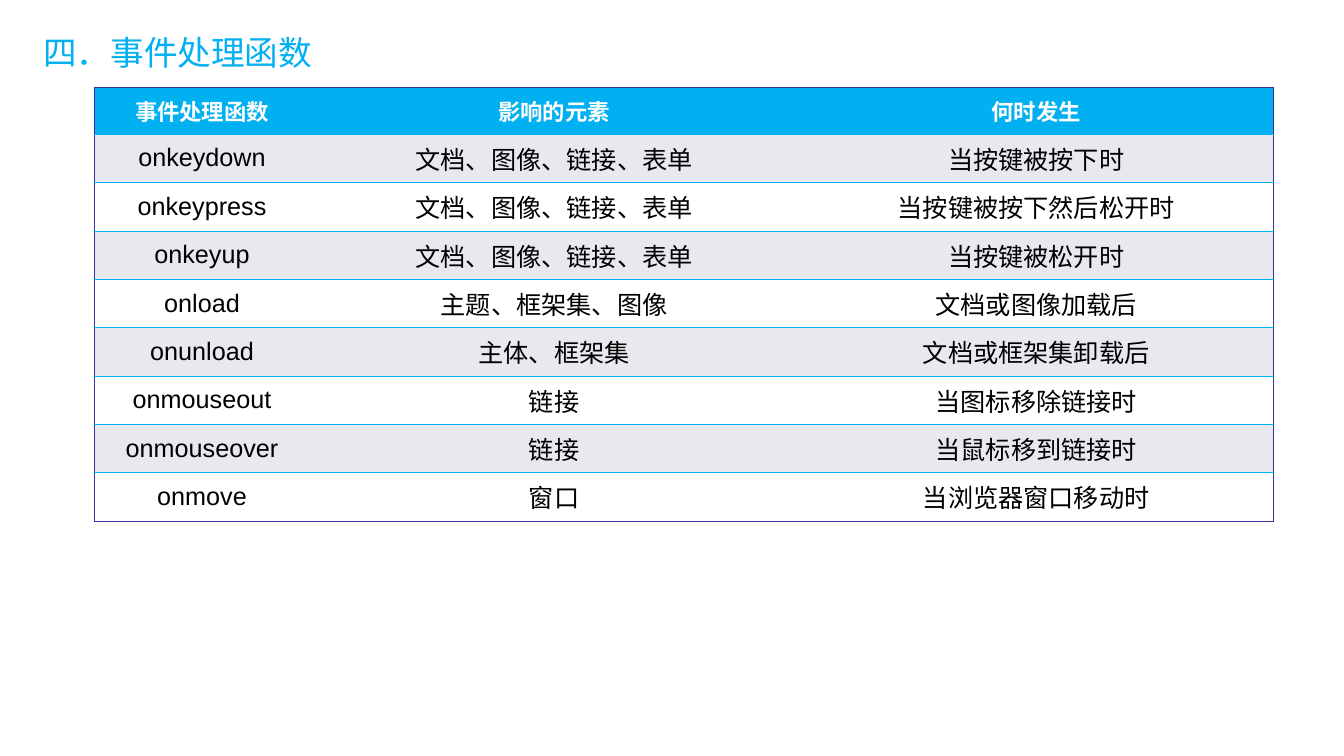
import pptx
import pptx.dml.color
import pptx.enum.text
import pptx.oxml
import pptx.oxml.ns
import pptx.util
from pptx.util import Inches

FONT = "Arial"
BLUE, NAVY, WHITE, BLACK, GREY = "00B0F0", "333399", "FFFFFF", "000000", "E8E8EF"
BORDER_WIDTH = 0.45
COLUMN_WIDTHS = (2.13, 4.86, 4.71)
HEADER_HEIGHT, ROW_HEIGHT = 0.46, 0.48
EVENTS = (
    ("事件处理函数", "影响的元素", "何时发生"),
    ("onkeydown", "文档、图像、链接、表单", "当按键被按下时"),
    ("onkeypress", "文档、图像、链接、表单", "当按键被按下然后松开时"),
    ("onkeyup", "文档、图像、链接、表单", "当按键被松开时"),
    ("onload", "主题、框架集、图像", "文档或图像加载后"),
    ("onunload", "主体、框架集", "文档或框架集卸载后"),
    ("onmouseout", "链接", "当图标移除链接时"),
    ("onmouseover", "链接", "当鼠标移到链接时"),
    ("onmove", "窗口", "当浏览器窗口移动时"),
)


def color(value):
    return pptx.dml.color.RGBColor.from_string(value)


def write(frame, text, size, ink, align, bold=False):
    frame.text = text
    para = frame.paragraphs[0]
    para.alignment = align
    font = para.runs[0].font
    font.name, font.size, font.bold = FONT, pptx.util.Pt(size), bold
    font.color.rgb = color(ink)


def add_title(page, text):
    title = page.shapes.title
    title.left, title.top = Inches(0.33), Inches(0.17)
    title.width, title.height = Inches(12.78), Inches(0.7)
    write(title.text_frame, text, 24, BLUE, pptx.enum.text.PP_ALIGN.LEFT)
    title.text_frame.vertical_anchor = pptx.enum.text.MSO_ANCHOR.MIDDLE


def set_border(cell, side, ink):
    """Draw one side (L, R, T or B) of a cell, or clear it when ink is None."""
    fill = f'<a:solidFill><a:srgbClr val="{ink}"/></a:solidFill>' if ink else "<a:noFill/>"
    line = pptx.oxml.parse_xml(
        f'<a:ln{side} {pptx.oxml.ns.nsdecls("a")} w="{pptx.util.Pt(BORDER_WIDTH)}">'
        f"{fill}</a:ln{side}>"
    )
    cell._tc.get_or_add_tcPr().append(line)


def format_cell(cell, text, row, column):
    last_row, last_column = len(EVENTS) - 1, len(COLUMN_WIDTHS) - 1
    set_border(cell, "L", NAVY if column == 0 else None)
    set_border(cell, "R", NAVY if column == last_column else None)
    set_border(cell, "T", NAVY if row == 0 else BLUE)
    set_border(cell, "B", NAVY if row == last_row else BLUE)
    header = row == 0
    cell.fill.solid()
    cell.fill.fore_color.rgb = color(BLUE if header else GREY if row % 2 else WHITE)
    cell.vertical_anchor = pptx.enum.text.MSO_ANCHOR.MIDDLE
    write(cell.text_frame, text, 16 if header else 18, WHITE if header else BLACK,
          pptx.enum.text.PP_ALIGN.CENTER, header)


def add_event_table(page):
    heights = [HEADER_HEIGHT] + [ROW_HEIGHT] * (len(EVENTS) - 1)
    table = page.shapes.add_table(
        len(EVENTS), len(COLUMN_WIDTHS), Inches(0.94), Inches(0.87),
        Inches(sum(COLUMN_WIDTHS)), Inches(sum(heights)),
    ).table
    for column, width in zip(table.columns, COLUMN_WIDTHS):
        column.width = Inches(width)
    for row, height in zip(table.rows, heights):
        row.height = Inches(height)
    for row, texts in enumerate(EVENTS):
        for column, text in enumerate(texts):
            format_cell(table.cell(row, column), text, row, column)


def main():
    deck = pptx.Presentation()
    deck.slide_width, deck.slide_height = Inches(13.34), Inches(7.5)
    page = deck.slides.add_slide(deck.slide_layouts.get_by_name("Title Only"))
    add_title(page, "四．事件处理函数")
    add_event_table(page)
    deck.save("out.pptx")


if __name__ == "__main__":
    main()
